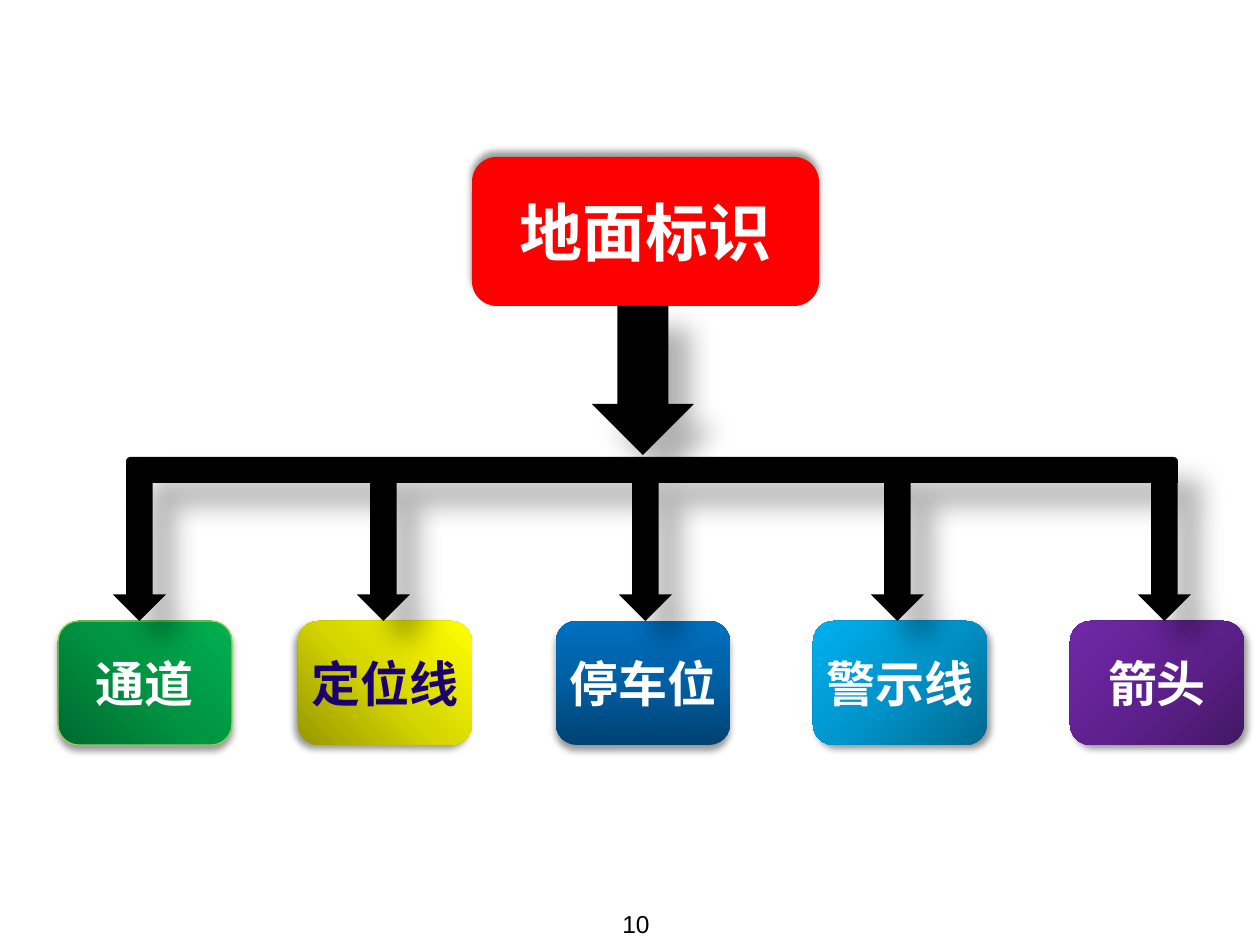
from dataclasses import dataclass
from typing import Optional

from lxml import etree
from pptx import Presentation
from pptx.dml.color import RGBColor
from pptx.enum.shapes import MSO_SHAPE
from pptx.enum.text import MSO_ANCHOR, PP_ALIGN
from pptx.oxml.ns import qn
from pptx.util import Pt

ROUNDED = MSO_SHAPE.ROUNDED_RECTANGLE
BAR = MSO_SHAPE.ROUND_2_SAME_RECTANGLE
DOWN_ARROW = MSO_SHAPE.DOWN_ARROW
MIDDLE = MSO_ANCHOR.MIDDLE
CENTER, RIGHT = PP_ALIGN.CENTER, PP_ALIGN.RIGHT

EMU_PER_PX = 914400 / 126
FONT = "Arial"
COLORS = {
    "black": "000000",
    "white": "FFFFFF",
    "red": "FF0000",
    "navy": "1A006E",
    "lime": "92D050",
}


@dataclass(frozen=True)
class Shadow:
    opacity: int
    blur: int
    distance: int
    angle: int


@dataclass(frozen=True)
class Frame:
    left: int
    top: int
    width: int
    height: int


@dataclass(frozen=True)
class Category:
    label: str
    left: int
    arrow_left: int
    gradient: tuple[str, str, str]
    gradient_angle: int
    shadow_angle: int
    ink: str = "white"
    border: Optional[str] = None


CATEGORIES = [
    Category("通道", 58, 113, ("00682F", "009443", "00B050"), 315, 90, border="lime"),
    Category("定位线", 298, 357, ("979700", "D7D700", "FFFF00"), 315, 135, ink="navy"),
    Category("停车位", 556, 619, ("004272", "005EA2", "0070C0"), 270, 90),
    Category("警示线", 813, 871, ("00688E", "0094CA", "00B0F0"), 225, 45),
    Category("箭头", 1070, 1138, ("431764", "5F218E", "7128A8"), 225, 45),
]
ARROW_SHADOW = Shadow(30, 15, 18, 45)


def px(value: int) -> int:
    return round(value * EMU_PER_PX)


def rgb(name: str) -> RGBColor:
    return RGBColor.from_string(COLORS[name])


def add_color(parent, value: str):
    return etree.SubElement(parent, qn("a:srgbClr"), val=value)


def cast_shadow(shape, shadow: Shadow) -> None:
    shape.shadow.inherit = False
    effects = shape.element.spPr.find(qn("a:effectLst"))
    outer = etree.SubElement(
        effects, qn("a:outerShdw"), blurRad=str(Pt(shadow.blur)),
        dist=str(Pt(shadow.distance)), dir=str(shadow.angle * 60000), rotWithShape="0")
    color = add_color(outer, COLORS["black"])
    etree.SubElement(color, qn("a:alpha"), val=str(shadow.opacity * 1000))


def fill_gradient(shape, stops: tuple[str, str, str], angle: int) -> None:
    shape.fill.gradient()
    gradient = shape.element.spPr.find(qn("a:gradFill"))
    for child in list(gradient):
        gradient.remove(child)
    stop_list = etree.SubElement(gradient, qn("a:gsLst"))
    for place, value in zip((0, 50, 100), stops):
        add_color(etree.SubElement(stop_list, qn("a:gs"), pos=str(place * 1000)), value)
    etree.SubElement(gradient, qn("a:lin"), ang=str(angle * 60000), scaled="1")


def add_block(slide, kind, frame: Frame, fill: str, shadow: Shadow):
    block = slide.shapes.add_shape(
        kind, px(frame.left), px(frame.top), px(frame.width), px(frame.height))
    block.fill.solid()
    block.fill.fore_color.rgb = rgb(fill)
    block.line.fill.background()
    cast_shadow(block, shadow)
    return block


def write(shape, text: str, size: int, ink: str, align, bold: bool = True) -> None:
    paragraph = shape.text_frame.paragraphs[0]
    paragraph.alignment = align
    run = paragraph.add_run()
    run.text = text
    run.font.name = FONT
    run.font.size = Pt(size)
    run.font.bold = bold
    run.font.color.rgb = rgb(ink)


def add_label(block, text: str, size: int, ink: str) -> None:
    block.text_frame.word_wrap = False
    block.text_frame.vertical_anchor = MIDDLE
    write(block, text, size, ink, CENTER)


def add_category(slide, category: Category) -> None:
    box = add_block(slide, ROUNDED, Frame(category.left, 621, 174, 124), "black",
                    Shadow(40, 4, 3, category.shadow_angle))
    fill_gradient(box, category.gradient, category.gradient_angle)
    if category.border:
        box.line.color.rgb = rgb(category.border)
        box.line.width = Pt(0.75)
    add_label(box, category.label, 28, category.ink)


def main() -> None:
    deck = Presentation()
    deck.slide_width, deck.slide_height = px(1260), px(945)
    slide = deck.slides.add_slide(deck.slide_layouts[6])

    # Page number
    number = slide.shapes.add_textbox(px(368), px(903), px(294), px(42))
    number.text_frame.word_wrap = True
    write(number, "10", 14, "black", RIGHT, bold=False)

    # Topic and its categories
    topic = add_block(slide, ROUNDED, Frame(472, 157, 347, 149), "red",
                      Shadow(40, 4, 3, 270))
    add_label(topic, "地面标识", 36, "white")
    for category in CATEGORIES:
        add_category(slide, category)

    # Branching bar and arrows
    add_block(slide, BAR, Frame(126, 457, 1052, 26), "black", ARROW_SHADOW)
    branches = [Frame(category.arrow_left, 483, 53, 138) for category in CATEGORIES]
    for frame in [*branches, Frame(592, 306, 102, 149)]:
        add_block(slide, DOWN_ARROW, frame, "black", ARROW_SHADOW)

    deck.save("out.pptx")


if __name__ == "__main__":
    main()
